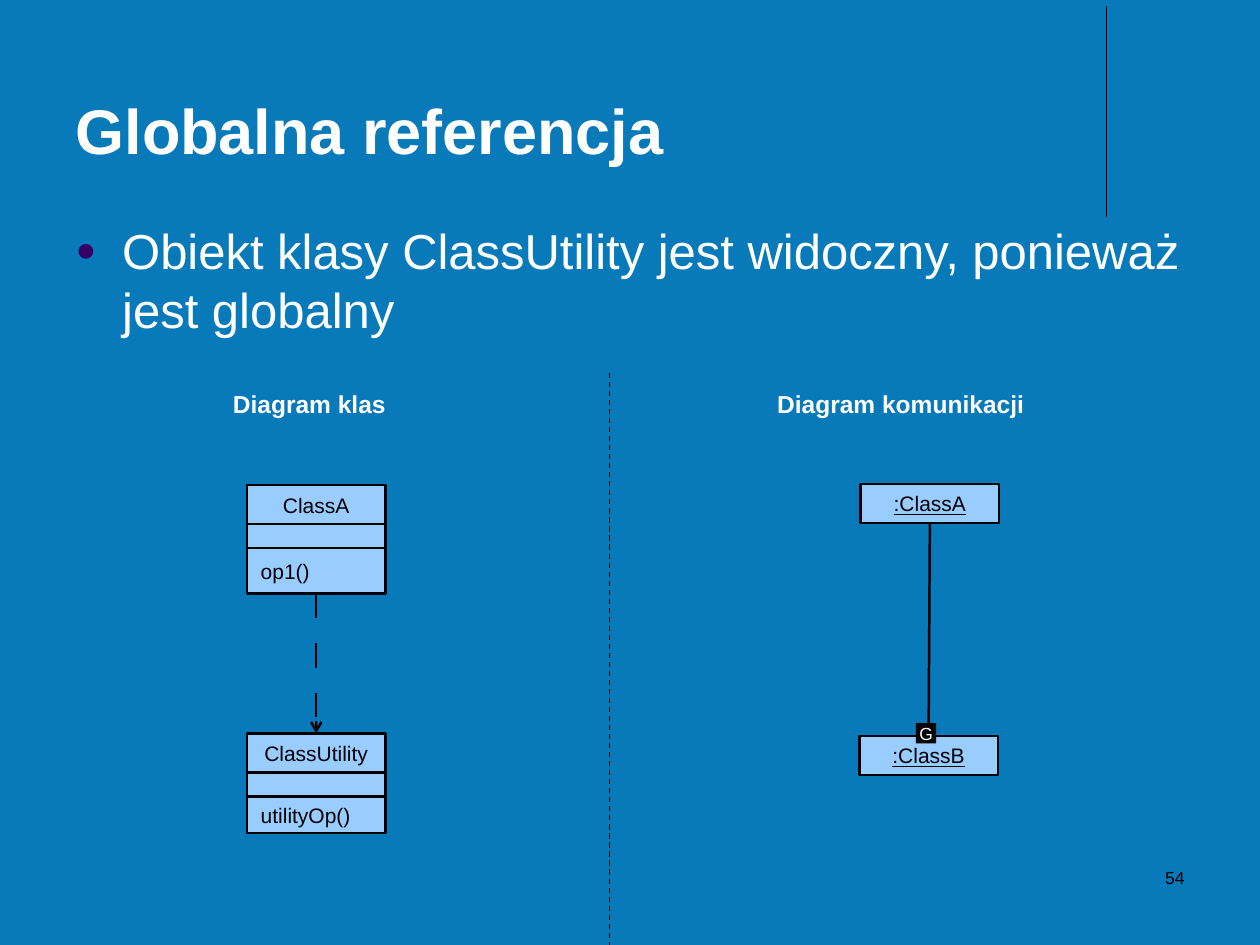
from dataclasses import dataclass

from lxml.etree import SubElement
from pptx import Presentation
from pptx.dml.color import RGBColor
from pptx.enum.dml import MSO_LINE
from pptx.enum.shapes import MSO_CONNECTOR, MSO_SHAPE
from pptx.enum.text import MSO_ANCHOR, MSO_AUTO_SIZE, PP_ALIGN
from pptx.oxml.ns import qn
from pptx.util import Inches, Pt


@dataclass(frozen=True)
class Theme:
    font: str = "Arial"
    background: str = "097AB9"
    light: str = "FFFFFF"
    dark: str = "000000"
    box: str = "99CCFF"
    bullet: str = "330066"
    title_size: int = 36
    body_size: int = 28
    heading_size: int = 14
    label_size: int = 12
    small_size: int = 10
    thin: float = 0.75
    thick: float = 1.42


THEME = Theme()
BOX_WIDTH = 1.1
NAME_HEIGHT = 0.31
ATTRIBUTE_HEIGHT = 0.19
BOX_INSETS = (0.11, 0.06)
TOP, BOTTOM = 0, 2  # connection sites of a rectangle


def color(value):
    return RGBColor.from_string(value)


def place(shape, left, top, width, height):
    values = {"left": left, "top": top, "width": width, "height": height}
    for name, value in values.items():
        setattr(shape, name, Inches(value))


def write(shape, text, size, ink, align=PP_ALIGN.LEFT, anchor=MSO_ANCHOR.TOP,
          insets=(0.1, 0.05), wrap=True, **font_format):
    frame = shape.text_frame
    side, end = (Inches(inset) for inset in insets)
    frame_format = {
        "word_wrap": wrap, "auto_size": MSO_AUTO_SIZE.NONE,
        "vertical_anchor": anchor, "margin_left": side, "margin_right": side,
        "margin_top": end, "margin_bottom": end,
    }
    for name, value in frame_format.items():
        setattr(frame, name, value)
    para = frame.paragraphs[0]
    para.alignment = align
    para.space_before = Pt(0)
    span = para.add_run()
    span.text = text
    values = {"name": THEME.font, "size": Pt(size), **font_format}
    for name, value in values.items():
        setattr(span.font, name, value)
    span.font.color.rgb = color(ink)


def add_bullet(para, indent):
    properties = para._p.get_or_add_pPr()
    properties.set("marL", str(Inches(indent)))
    properties.set("indent", str(-Inches(indent)))
    bullet_color = SubElement(properties, qn("a:buClr"))
    SubElement(bullet_color, qn("a:srgbClr"), val=THEME.bullet)
    SubElement(properties, qn("a:buSzPct"), val="70000")
    SubElement(properties, qn("a:buFont"), typeface=THEME.font)
    SubElement(properties, qn("a:buChar"), char="●")


def add_text(shapes, text, at, size, ink, **text_format):
    box = shapes.add_textbox(*map(Inches, at))
    write(box, text, size, ink, **text_format)


def add_box(shapes, at, fill=THEME.box, outlined=True):
    box = shapes.add_shape(MSO_SHAPE.RECTANGLE, *map(Inches, at))
    box.shadow.inherit = False
    box.fill.solid()
    box.fill.fore_color.rgb = color(fill)
    if outlined:
        box.line.color.rgb = color(THEME.dark)
        box.line.width = Pt(THEME.thick)
    else:
        box.line.fill.background()
    return box


def add_label_box(shapes, text, at, align=PP_ALIGN.CENTER, underline=False):
    box = add_box(shapes, at)
    write(box, text, THEME.label_size, THEME.dark, align=align,
          anchor=MSO_ANCHOR.MIDDLE, insets=BOX_INSETS, underline=underline)
    return box


def add_class(shapes, name, operation, left, top, operation_height):
    """Draw a class and return its name and operation compartments."""
    parts = shapes.add_group_shape().shapes
    name_box = add_label_box(parts, name, (left, top, BOX_WIDTH, NAME_HEIGHT))
    top += NAME_HEIGHT
    add_box(parts, (left, top, BOX_WIDTH, ATTRIBUTE_HEIGHT))
    top += ATTRIBUTE_HEIGHT
    operation_box = add_label_box(
        parts, operation, (left, top, BOX_WIDTH, operation_height), PP_ALIGN.LEFT)
    return name_box, operation_box


def add_line(shapes, start=(0, 0), end=(0, 0), width=THEME.thick):
    line = shapes.add_connector(MSO_CONNECTOR.STRAIGHT, *map(Inches, (*start, *end)))
    line.line.color.rgb = color(THEME.dark)
    line.line.width = Pt(width)
    SubElement(line._element.spPr, qn("a:effectLst"))
    return line


def join(shapes, upper, lower):
    line = add_line(shapes)
    line.begin_connect(upper, BOTTOM)
    line.end_connect(lower, TOP)
    return line


def make_dependency(line):
    """Give a line long even dashes and an open arrowhead."""
    outline = line.line._get_or_add_ln()
    dashes = SubElement(outline, qn("a:custDash"))
    SubElement(dashes, qn("a:ds"), d="1000000", sp="1000000")
    SubElement(outline, qn("a:tailEnd"), type="arrow")


def add_title_and_body(slide):
    title, body = slide.placeholders
    place(title, 0.5, 0.13, 8.25, 1.25)
    write(title, "Globalna referencja", THEME.title_size, THEME.light,
          anchor=MSO_ANCHOR.BOTTOM, bold=True)
    place(body, 0.5, 1.7, 9, 1.16)
    add_bullet(body.text_frame.paragraphs[0], 0.37)
    write(body, "Obiekt klasy ClassUtility jest widoczny, ponieważ jest globalny",
          THEME.body_size, THEME.light)


def add_class_diagram(shapes):
    left = 1.96
    _, caller = add_class(shapes, "ClassA", "op1()", left, 3.85, 0.36)
    utility, _ = add_class(shapes, "ClassUtility", "utilityOp()", left, 5.82, 0.29)
    make_dependency(join(shapes, caller, utility))


def add_communication_diagram(shapes):
    sender, receiver = (
        add_label_box(shapes, name, (left, top, BOX_WIDTH, NAME_HEIGHT), underline=True)
        for name, left, top in ((":ClassA", 6.83, 3.84), (":ClassB", 6.82, 5.84)))
    join(shapes, sender, receiver)
    marker = add_box(shapes, (7.27, 5.74, 0.16, 0.16), THEME.dark, outlined=False)
    write(marker, "G", THEME.small_size, THEME.light, align=PP_ALIGN.CENTER,
          anchor=MSO_ANCHOR.MIDDLE, insets=(0, 0))


def main():
    deck = Presentation()
    deck.slide_width, deck.slide_height = Inches(10), Inches(7.5)
    slide = deck.slides.add_slide(deck.slide_layouts[1])
    slide.background.fill.solid()
    slide.background.fill.fore_color.rgb = color(THEME.background)
    shapes = slide.shapes

    # Title, statement and corner rule
    add_line(shapes, (8.78, 0.05), (8.78, 1.72), THEME.thin)
    add_title_and_body(slide)

    # Diagram headings and divider
    for text, left, width in (("Diagram klas", 1.75, 1.41),
                              ("Diagram komunikacji", 6.07, 2.16)):
        add_text(shapes, text, (left, 3.04, width, 0.34), THEME.heading_size,
                 THEME.light, wrap=False, bold=True)
    divider = add_line(shapes, (4.84, 2.96), (4.84, 7.5), THEME.thin)
    divider.line.dash_style = MSO_LINE.DASH

    # Diagrams
    add_class_diagram(shapes)
    add_communication_diagram(shapes)

    # Page number
    add_text(shapes, "54", (7.17, 6.83, 2.33, 0.5), THEME.small_size, THEME.dark,
             align=PP_ALIGN.RIGHT)
    deck.save("out.pptx")


if __name__ == "__main__":
    main()
